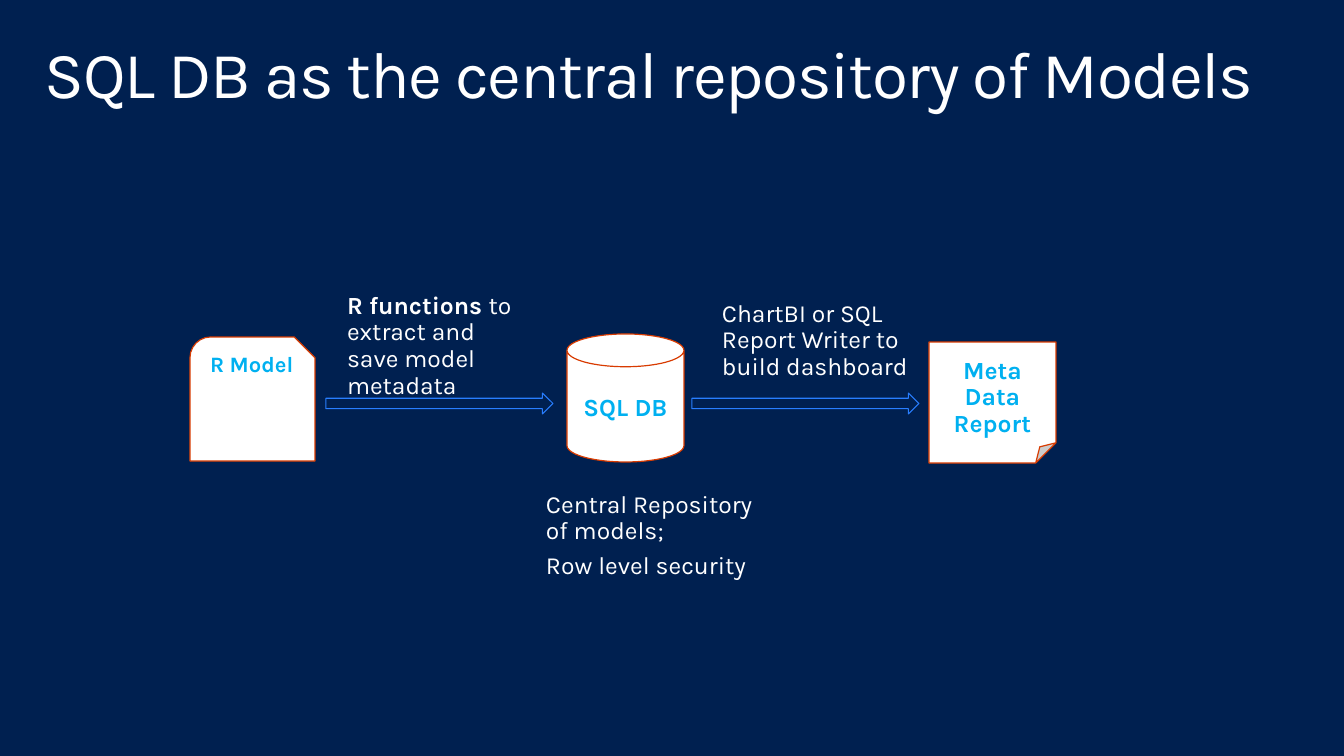
from pptx import Presentation
from pptx import util as u
from pptx.dml.color import RGBColor
from pptx.enum import shapes, text

EMU_PER_PX = 914400 / 100.8
FONT = "Karla"
COLOURS = {"navy": "002050", "white": "FFFFFF", "orange": "D83B01",
           "sky": "00B0F0", "blue": "287EFF"}
TEXT_INSETS = (20, 16)


def px(length):
    return u.Emu(round(length * EMU_PER_PX))


def colour(name):
    return RGBColor.from_string(COLOURS[name])


def set_insets(frame, insets):
    frame.margin_left = frame.margin_right = px(insets[0])
    frame.margin_top = frame.margin_bottom = px(insets[1])


def style_paragraph(para, size, ink, bold=None, after=None, spacing=0.9):
    para.font.name = FONT
    para.font.size = u.Pt(size)
    para.font.color.rgb = colour(ink)
    para.font.bold = bold
    para.line_spacing = spacing
    if after is not None:
        para.space_after = u.Pt(after)


def add_text(page, place, paragraphs, size=17.6, ink="white", bold=None,
             insets=TEXT_INSETS, after=5.9):
    box = page.shapes.add_textbox(*map(px, place))
    frame = box.text_frame
    frame.word_wrap = True
    set_insets(frame, insets)
    for index, words in enumerate(paragraphs):
        para = frame.paragraphs[0] if index == 0 else frame.add_paragraph()
        para.text = words
        style_paragraph(para, size, ink, bold, after)
    return box


def add_outline(page, kind, place, line, width, fill=None):
    shape = page.shapes.add_shape(kind, *map(px, place))
    shape.shadow.inherit = False
    if fill:
        shape.fill.solid()
        shape.fill.fore_color.rgb = colour(fill)
    else:
        shape.fill.background()
    shape.line.color.rgb = colour(line)
    shape.line.width = u.Pt(width)
    return shape


def add_node(page, kind, place, label="", anchor=text.MSO_ANCHOR.TOP,
             insets=TEXT_INSETS, spacing=0.9):
    node = add_outline(page, kind, place, "orange", 0.85, "white")
    if label:
        frame = node.text_frame
        frame.word_wrap = True
        frame.vertical_anchor = anchor
        set_insets(frame, insets)
        para = frame.paragraphs[0]
        para.text = label
        para.alignment = text.PP_ALIGN.CENTER
        style_paragraph(para, 17.6, "sky", True, spacing=spacing)
    return node


def add_title(page, words):
    title = add_text(page, (29, 32, 1285, 99), [words], size=47,
                     insets=(16, 10), after=None)
    span = title.text_frame.paragraphs[0].runs[0]
    span._r.get_or_add_rPr().set("spc", "-100")


def main():
    deck = Presentation()
    deck.slide_width, deck.slide_height = px(1344), px(756)
    page = deck.slides.add_slide(deck.slide_layouts[6])
    page.background.fill.solid()
    page.background.fill.fore_color.rgb = colour("navy")

    add_title(page, "SQL DB as the central repository of Models")

    preset = shapes.MSO_SHAPE
    database = add_node(page, preset.CAN, (567, 334, 117, 128), "SQL DB",
                        text.MSO_ANCHOR.MIDDLE, (10, 5), 1.0)
    database.adjustments[0] = 0.28
    add_node(page, preset.SNIP_ROUND_RECTANGLE, (190, 337, 125, 124))
    add_node(page, preset.FOLDED_CORNER, (929, 342, 127, 121),
             "Meta Data Report")
    add_text(page, (190, 342, 136, 55), ["R Model"], 15.7, "sky", True)

    extract = add_text(page, (327, 277, 223, 113), ["R functions "])
    para = extract.text_frame.paragraphs[0]
    para.runs[0].font.bold = True
    span = para.add_run()
    span.text = "to extract and save model metadata"

    for left in (326, 692):
        add_outline(page, preset.RIGHT_ARROW, (left, 393, 227, 21),
                    "blue", 0.75)

    add_text(page, (702, 285, 228, 113),
             ["ChartBI or SQL Report Writer to build dashboard"])
    add_text(page, (526, 476, 261, 121),
             ["Central Repository of models;", "Row level security"])

    deck.save("out.pptx")


if __name__ == "__main__":
    main()
